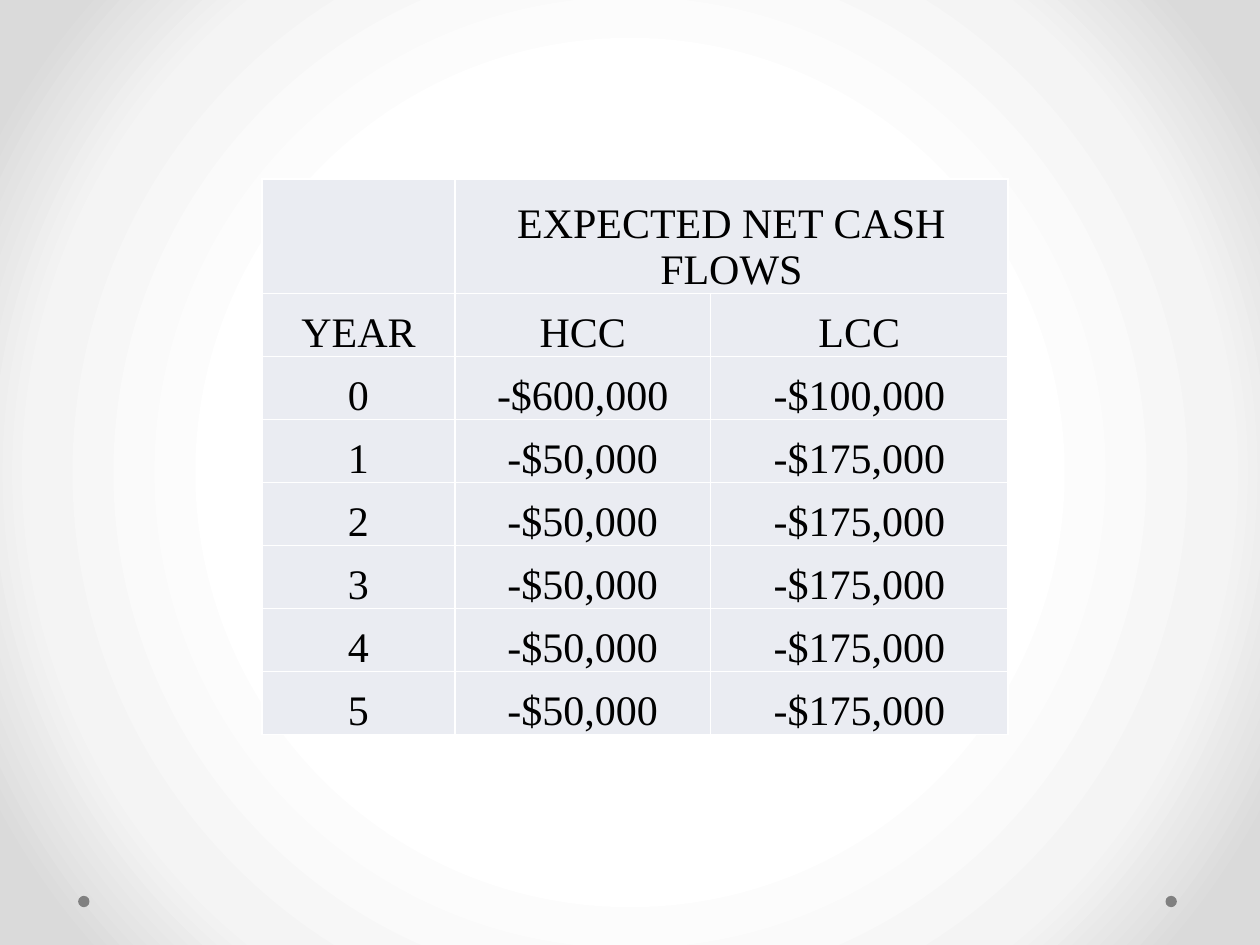
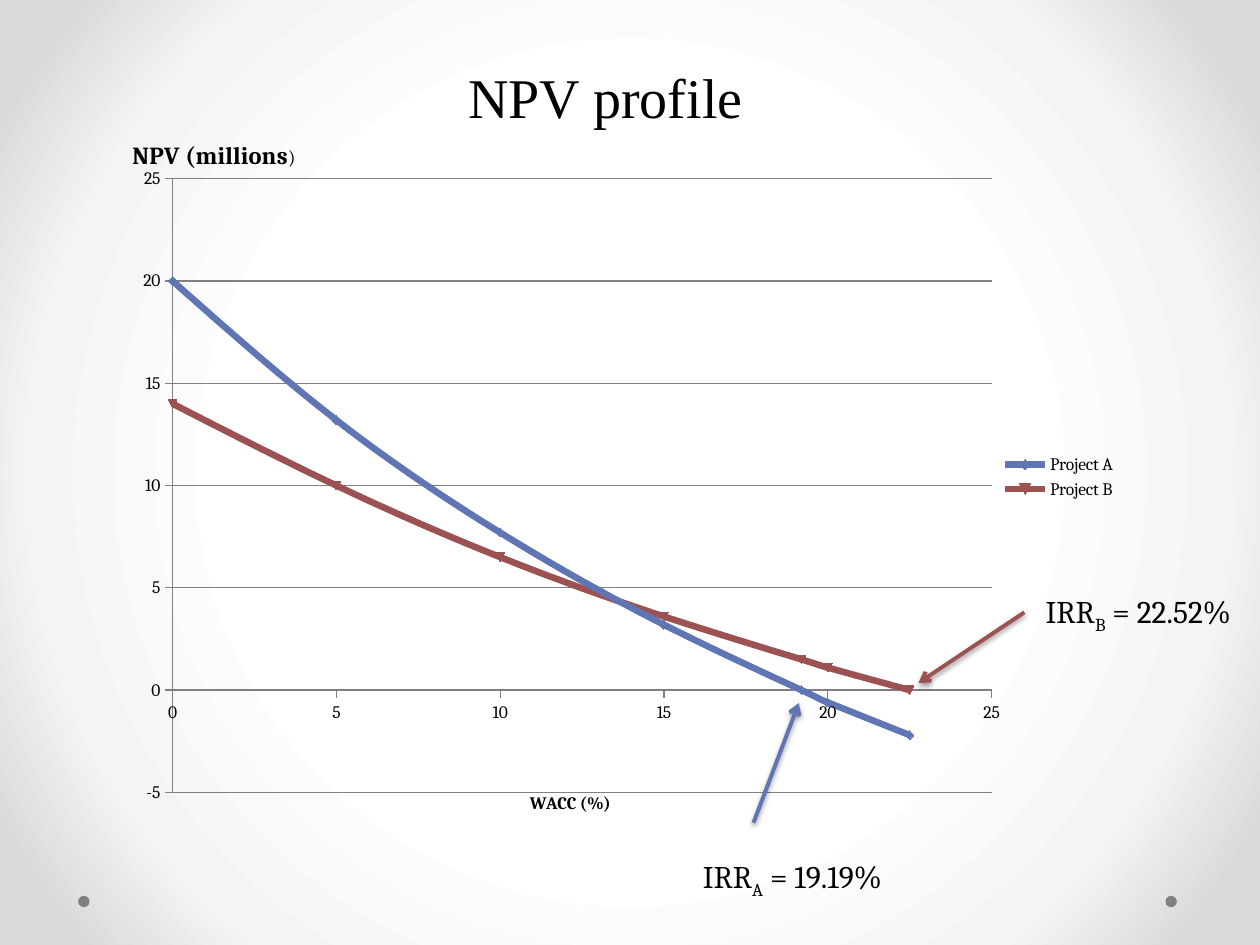
from dataclasses import dataclass
from typing import NamedTuple

from pptx import Presentation
from pptx.chart.axis import ValueAxis
from pptx.chart.data import XyChartData
from pptx.dml.color import RGBColor
from pptx.enum.chart import XL_CHART_TYPE, XL_LEGEND_POSITION, XL_TICK_MARK
from pptx.enum.shapes import MSO_CONNECTOR, MSO_SHAPE
from pptx.enum.text import MSO_ANCHOR, PP_ALIGN
from pptx.oxml import parse_xml
from pptx.oxml.ns import nsdecls, qn
from pptx.slide import Slide
from pptx.util import Inches, Pt


@dataclass(frozen=True)
class Theme:
    ink: str = "000000"
    white: str = "FFFFFF"
    gray: str = "808080"
    cell: str = "EAECF2"
    blue: str = "6076B4"
    red: str = "9C5252"
    glow: tuple = ((50, "FFFFFF"), (76, "F4F4F4"), (92, "DADADA"))
    serif: str = "Times New Roman"
    body: str = "Cambria"
    title: int = 32
    table: int = 24
    note: int = 18
    axis: int = 14
    small: int = 11
    chart: int = 10


class Box(NamedTuple):
    left: float
    top: float
    width: float
    height: float


class Part(NamedTuple):
    text: str
    size: int
    bold: bool = True


class Curve(NamedTuple):
    name: str
    color: str
    points: tuple


class Note(NamedTuple):
    sub: str
    rate: str
    box: Box
    start: tuple
    end: tuple
    color: str


T = Theme()
DOTS = (Box(9.25, 7.11, 0.09, 0.09), Box(0.62, 7.11, 0.09, 0.09))

COLS = (1.53, 2.03, 2.36)
HEAD, ROW = 0.91, 0.5
FLOWS = [
    ("", "EXPECTED NET CASH FLOWS", ""),
    ("YEAR", "HCC", "LCC"),
    ("0", "-$600,000", "-$100,000"),
    *((str(year), "-$50,000", "-$175,000") for year in range(1, 6)),
]

GRAPH = Box(1, 1.08, 7.96, 5.42)
PLOT = Box(1.37, 1.42, 6.5, 4.88)
RATES = (0, 5, 10, 15, 19.2, 20, 22.5)
CURVES = (
    Curve("Project A", T.blue, (20, 13.2, 7.7, 3.2, 0, -0.6, -2.2)),
    Curve("Project B", T.red, (14, 10, 6.5, 3.6, 1.5, 1.1, 0)),
)
NOTES = (
    Note("A", "19.19%", Box(5.48, 6.75, 2.03, 0.4), (5.98, 6.53), (6.34, 5.58), T.blue),
    Note("B", "22.52%", Box(8.2, 4.65, 1.78, 0.4), (8.13, 4.86), (7.29, 5.42), T.red),
)


def rgb(code: str) -> RGBColor:
    return RGBColor.from_string(code)


def dress(font, name: str, size: int, bold: bool = False) -> None:
    font.name = name
    font.size = Pt(size)
    font.bold = bold
    font.color.rgb = rgb(T.ink)


def paint_back(slide: Slide) -> None:
    fill = slide.background.fill
    fill.gradient()
    grad = slide.background._cSld.find(".//" + qn("a:gradFill"))
    stops = "".join(
        f'<a:gs pos="{spot * 1000}"><a:srgbClr val="{color}"/></a:gs>'
        for spot, color in T.glow
    )
    grad.getparent().replace(grad, parse_xml(
        f'<a:gradFill {nsdecls("a")} rotWithShape="1"><a:gsLst>{stops}</a:gsLst>'
        '<a:path path="circle"><a:fillToRect l="50000" t="50000" r="50000" b="50000"/>'
        "</a:path></a:gradFill>"
    ))


def add_page(deck) -> Slide:
    slide = deck.slides.add_slide(deck.slide_layouts[6])
    paint_back(slide)
    for box in DOTS:
        dot = slide.shapes.add_shape(MSO_SHAPE.OVAL, *map(Inches, box))
        dot.shadow.inherit = False
        dot.fill.solid()
        dot.fill.fore_color.rgb = rgb(T.gray)
        dot.line.fill.background()
    return slide


def style_cell(cell, text: str) -> None:
    cell.margin_left = cell.margin_right = cell.margin_top = Inches(0.01)
    cell.margin_bottom = 0
    cell.vertical_anchor = MSO_ANCHOR.BOTTOM
    cell.fill.solid()
    cell.fill.fore_color.rgb = rgb(T.cell)
    props = cell._tc.get_or_add_tcPr()
    for rank, side in enumerate("LRTB"):
        props.insert(rank, parse_xml(
            f'<a:ln{side} {nsdecls("a")} w="{Pt(1)}"><a:solidFill>'
            f'<a:srgbClr val="{T.white}"/></a:solidFill></a:ln{side}>'
        ))
    para = cell.text_frame.paragraphs[0]
    para.alignment = PP_ALIGN.CENTER
    dress(para.font, T.serif, T.table)
    if text:
        para.add_run().text = text


def add_flows(slide: Slide) -> None:
    high = HEAD + ROW * (len(FLOWS) - 1)
    box = Box(2.08, 1.42, sum(COLS), high)
    table = slide.shapes.add_table(len(FLOWS), len(COLS), *map(Inches, box)).table
    table.first_row = table.horz_banding = False
    for col, width in zip(table.columns, COLS):
        col.width = Inches(width)
    for rank, (row, texts) in enumerate(zip(table.rows, FLOWS)):
        row.height = Inches(ROW if rank else HEAD)
        for cell, text in zip(row.cells, texts):
            style_cell(cell, text)
    table.cell(0, 1).merge(table.cell(0, 2))


def add_text(slide: Slide, box: Box, name: str, size: int):
    frame = slide.shapes.add_textbox(*map(Inches, box)).text_frame
    frame.word_wrap = True
    para = frame.paragraphs[0]
    dress(para.font, name, size)
    return para


def place(node, rank: int, left: float, top: float, *size: float) -> None:
    for old in node.findall(qn("c:layout")):
        node.remove(old)
    spots = [
        (left - GRAPH.left) / GRAPH.width,
        (top - GRAPH.top) / GRAPH.height,
        *(part / whole for part, whole in zip(size, GRAPH[2:])),
    ]
    target = '<c:layoutTarget val="inner"/>' if size else ""
    modes = "".join(f'<c:{key}Mode val="edge"/>' for key in "xy")
    marks = "".join(f'<c:{key} val="{spot:.4f}"/>' for key, spot in zip("xywh", spots))
    node.insert(rank, parse_xml(
        f'<c:layout {nsdecls("c")}><c:manualLayout>{target}{modes}{marks}'
        "</c:manualLayout></c:layout>"
    ))


def style_axis(axis: ValueAxis, low: int, parts: tuple, left: float, top: float) -> None:
    axis.minimum_scale, axis.maximum_scale, axis.major_unit = low, 25, 5
    axis.major_tick_mark = XL_TICK_MARK.OUTSIDE
    axis.minor_tick_mark = XL_TICK_MARK.NONE
    axis.format.line.color.rgb = rgb(T.gray)
    dress(axis.tick_labels.font, T.body, T.chart)
    axis.tick_labels.number_format = "General"
    axis.tick_labels.number_format_is_linked = False
    frame = axis.axis_title.text_frame
    for part in parts:
        run = frame.paragraphs[0].add_run()
        run.text = part.text
        dress(run.font, T.body, part.size, part.bold)
    body = frame._txBody.find(qn("a:bodyPr"))
    body.set("rot", "0")
    body.set("vert", "horz")
    place(axis.axis_title._element, 1, left, top)


def add_graph(slide: Slide) -> None:
    data = XyChartData()
    for curve in CURVES:
        line = data.add_series(curve.name)
        for rate, value in zip(RATES, curve.points):
            line.add_data_point(rate, value)
    chart = slide.shapes.add_chart(
        XL_CHART_TYPE.XY_SCATTER_SMOOTH, *map(Inches, GRAPH), data
    ).chart
    dress(chart.font, T.body, T.chart)
    chart.has_title = False
    chart.has_legend = True
    chart.legend.position = XL_LEGEND_POSITION.RIGHT
    chart.legend.include_in_layout = False
    dress(chart.legend.font, T.body, T.chart)
    plot = chart.plots[0]
    plot.vary_by_categories = False
    for line, curve in zip(plot.series, CURVES):
        line._element.get_or_add_smooth().val = True
        line.format.line.color.rgb = rgb(curve.color)
        line.format.line.width = Pt(3.75)
        line.marker.size = 5
        line.marker.format.fill.solid()
        line.marker.format.fill.fore_color.rgb = rgb(curve.color)
        line.marker.format.line.color.rgb = rgb(curve.color)
    rate, worth = chart.category_axis, chart.value_axis
    style_axis(rate, 0, (Part("WACC (%)", T.chart),), 4.18, 6.27)
    style_axis(
        worth, -5, (Part("NPV (millions", T.axis), Part(")", T.small, False)), 1.02, 1.08
    )
    rate.has_major_gridlines = False
    worth.has_major_gridlines = True
    worth.major_gridlines.format.line.color.rgb = rgb(T.gray)
    place(chart._chartSpace.find(".//" + qn("c:plotArea")), 0, *PLOT)


def add_note(slide: Slide, note: Note) -> None:
    ends = map(Inches, note.start + note.end)
    arrow = slide.shapes.add_connector(MSO_CONNECTOR.STRAIGHT, *ends)
    arrow.line.color.rgb = rgb(note.color)
    arrow.line.width = Pt(2.25)
    arrow.line._get_or_add_ln().append(
        parse_xml(f'<a:tailEnd {nsdecls("a")} type="arrow"/>')
    )
    arrow._element.spPr.append(parse_xml(
        f'<a:effectLst {nsdecls("a")}><a:outerShdw blurRad="{Pt(3.1)}" dist="{Pt(1.6)}" '
        f'dir="5400000" rotWithShape="0"><a:srgbClr val="{T.ink}">'
        '<a:alpha val="38000"/></a:srgbClr></a:outerShdw></a:effectLst>'
    ))
    para = add_text(slide, note.box, T.body, T.note)
    for text in ("IRR", note.sub, f" = {note.rate}"):
        run = para.add_run()
        run.text = text
        if text == note.sub:
            run._r.get_or_add_rPr().set("baseline", "-25000")


def main() -> None:
    deck = Presentation()
    deck.slide_width, deck.slide_height = Inches(10), Inches(7.5)
    add_flows(add_page(deck))
    slide = add_page(deck)
    add_graph(slide)
    for note in NOTES:
        add_note(slide, note)
    title = add_text(slide, Box(2.3, 0.45, 5.01, 0.64), T.serif, T.title)
    title.alignment = PP_ALIGN.CENTER
    title.add_run().text = "NPV profile"
    deck.save("out.pptx")


if __name__ == "__main__":
    main()
